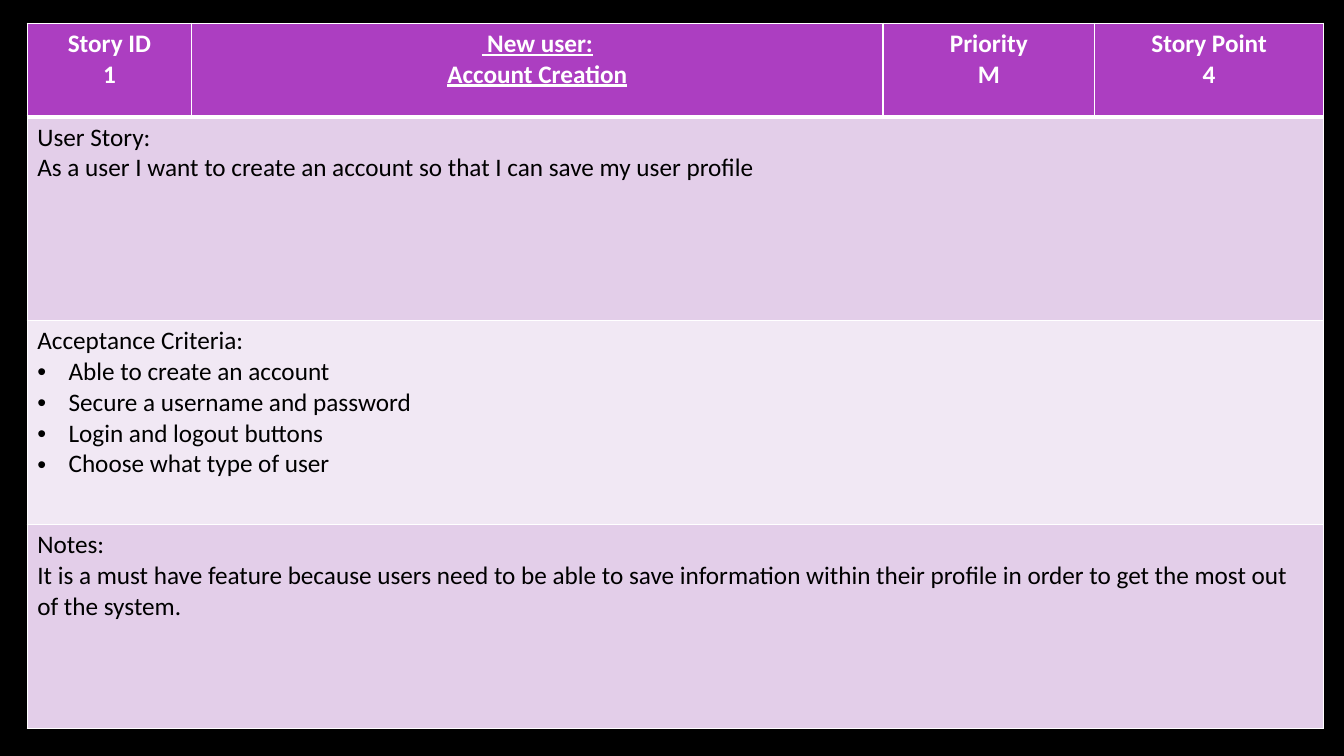
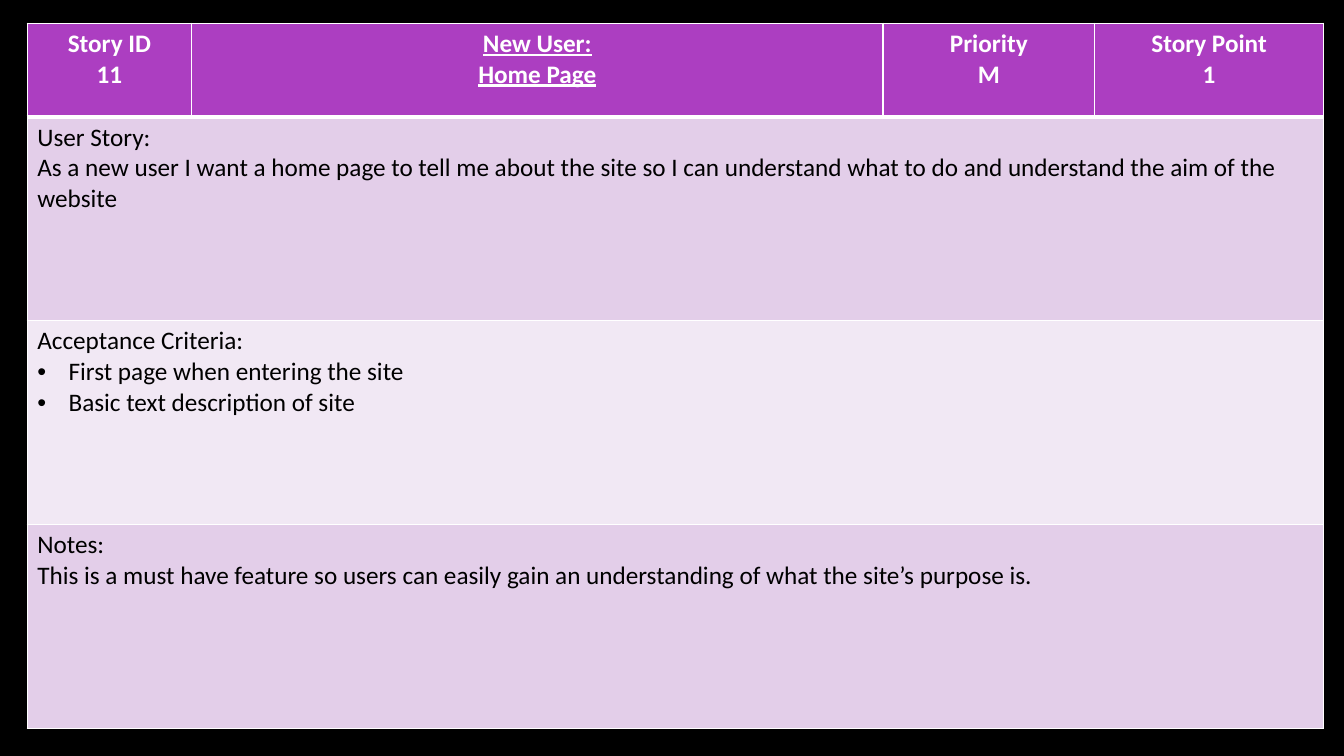
import dataclasses

import lxml.etree
import pptx
import pptx.dml.color
import pptx.enum.text
import pptx.oxml.ns
import pptx.util


@dataclasses.dataclass(frozen=True)
class Theme:
    font: str = "Calibri"
    text_size: float = 18
    background: str = "000000"
    header: str = "AC3EC1"
    band_dark: str = "E3CEE9"
    band_light: str = "F1E8F4"
    light_text: str = "FFFFFF"
    dark_text: str = "000000"
    border: str = "FFFFFF"
    thin_line: float = 1
    thick_line: float = 3
    bullet_indent: float = 0.31


THEME = Theme()
SLIDE_WIDTH, SLIDE_HEIGHT = 13.33, 7.5
TABLE_SHARES = (2.03, 3.07, 96.45, 93.3)
COLUMN_WEIGHTS = (1.63, 6.86, 2.1, 2.27)
ROW_WEIGHTS = (0.93, 2.02, 2.02, 2.02)

STORIES = [
    {
        "header": [["Story ID", "1"], [" New user:", "Account Creation"],
                   ["Priority", "M"], ["Story Point", "4"]],
        "story": "As a user I want to create an account so that I can save my user profile",
        "criteria": ["Able to create an account", "Secure a username and password",
                     "Login and logout buttons", "Choose what type of user"],
        "notes": "It is a must have feature because users need to be able to save information "
                 "within their profile in order to get the most out of the system.",
    },
    {
        "header": [["Story ID", "11"], ["New User:", "Home Page"],
                   ["Priority", "M"], ["Story Point", "1"]],
        "story": "As a new user I want a home page to tell me about the site so I can "
                 "understand what to do and understand the aim of the website",
        "criteria": ["First page when entering the site", "Basic text description of site"],
        "notes": "This is a must have feature so users can easily gain an understanding "
                 "of what the site’s purpose is.",
    },
]


def rgb(value):
    return pptx.dml.color.RGBColor.from_string(value)


def add_child(parent, tag, **attributes):
    return lxml.etree.SubElement(parent, pptx.oxml.ns.qn(tag), **attributes)


def write(paragraph, text, color=THEME.dark_text, bold=False, underline=False,
          centered=False, bullet=False):
    run = paragraph.add_run()
    run.text = text
    run.font.name = THEME.font
    run.font.size = pptx.util.Pt(THEME.text_size)
    run.font.color.rgb = rgb(color)
    run.font.bold = bold
    run.font.underline = underline
    alignment = pptx.enum.text.PP_ALIGN
    paragraph.alignment = alignment.CENTER if centered else alignment.LEFT
    if bullet:
        properties = paragraph._p.get_or_add_pPr()
        indent = pptx.util.Inches(THEME.bullet_indent)
        properties.set("marL", str(indent))
        properties.set("indent", str(-indent))
        add_child(properties, "a:buFont", typeface="Arial")
        add_child(properties, "a:buChar", char="•")


class StoryDeck:
    def __init__(self, theme):
        self.theme = theme
        self.presentation = pptx.Presentation()
        self.presentation.slide_width = pptx.util.Inches(SLIDE_WIDTH)
        self.presentation.slide_height = pptx.util.Inches(SLIDE_HEIGHT)
        fill = self.presentation.slide_master.background.fill
        fill.solid()
        fill.fore_color.rgb = rgb(theme.background)
        self.slide = None

    def add_slide(self):
        self.slide = self.presentation.slides.add_slide(self.presentation.slide_layouts[6])

    def add_grid(self):
        extents = (self.presentation.slide_width, self.presentation.slide_height) * 2
        box = [int(extent * share / 100) for extent, share in zip(extents, TABLE_SHARES)]
        table = self.slide.shapes.add_table(
            len(ROW_WEIGHTS), len(COLUMN_WEIGHTS), *box).table
        for column, weight in zip(table.columns, COLUMN_WEIGHTS):
            column.width = int(box[2] * weight / sum(COLUMN_WEIGHTS))
        for row, weight in zip(table.rows, ROW_WEIGHTS):
            row.height = int(box[3] * weight / sum(ROW_WEIGHTS))
        return table

    def style_cell(self, cell, color, top, bottom):
        properties = cell._tc.get_or_add_tcPr()
        thin = self.theme.thin_line
        for side, width in {"L": thin, "R": thin, "T": top, "B": bottom}.items():
            line = add_child(properties, f"a:ln{side}", w=str(pptx.util.Pt(width)))
            add_child(add_child(line, "a:solidFill"), "a:srgbClr", val=self.theme.border)
        cell.fill.solid()
        cell.fill.fore_color.rgb = rgb(color)

    def fill_cell(self, cell, lines, first_bullet=None, **text_format):
        frame = cell.text_frame
        for index, text in enumerate(lines):
            paragraph = frame.add_paragraph() if index else frame.paragraphs[0]
            bullet = first_bullet is not None and index >= first_bullet
            write(paragraph, text, bullet=bullet, **text_format)

    def add_story(self, story):
        theme = self.theme
        self.add_slide()
        table = self.add_grid()
        fills = (theme.header, theme.band_dark, theme.band_light, theme.band_dark)
        edges = (theme.thin_line, theme.thick_line) + (theme.thin_line,) * 3
        for index, color in enumerate(fills):
            for column in range(len(COLUMN_WEIGHTS)):
                self.style_cell(table.cell(index, column), color, *edges[index:index + 2])

        for column, lines in enumerate(story["header"]):
            self.fill_cell(table.cell(0, column), lines, color=theme.light_text,
                           bold=True, underline=column == 1, centered=True)

        sections = [
            (["User Story:", story["story"]], None),
            (["Acceptance Criteria:", *story["criteria"]], 1),
            (["Notes:", story["notes"]], None),
        ]
        for row, (lines, first_bullet) in enumerate(sections, start=1):
            cell = table.cell(row, 0)
            cell.merge(table.cell(row, len(COLUMN_WEIGHTS) - 1))
            self.fill_cell(cell, lines, first_bullet)


def main():
    deck = StoryDeck(THEME)
    for story in STORIES:
        deck.add_story(story)
    deck.presentation.save("out.pptx")


if __name__ == "__main__":
    main()
